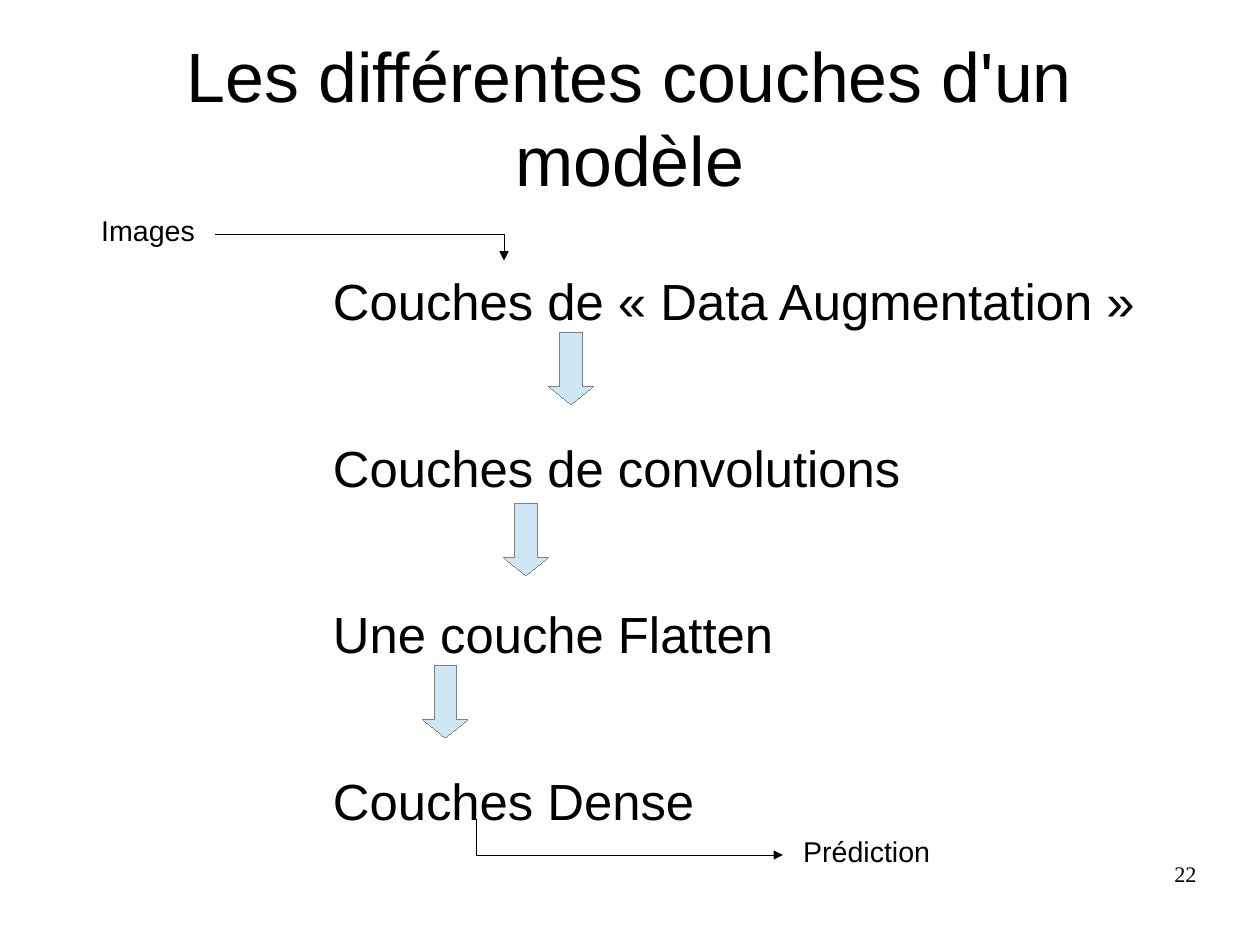
from dataclasses import dataclass

from lxml import etree
from pptx import Presentation
from pptx.dml.color import RGBColor
from pptx.enum import shapes, text
from pptx.oxml import ns
from pptx.util import Pt


@dataclass
class Label:
    words: str
    left: float
    top: float
    width: float
    height: float


@dataclass
class Line:
    x1: float
    y1: float
    x2: float
    y2: float
    head: bool = False


HAIR = 0.01
LAYERS = [
    "Couches de « Data Augmentation »",
    "Couches de convolutions",
    "Une couche Flatten",
    "Couches Dense",
]
LABELS = [
    Label("Images", 56.7, 130.4, 102, 27.3),
    Label("Prédiction", 498.8, 521.5, 124.7, 27.3),
]
ARROWS = [(345.6, 209.4), (317.2, 317.2), (266.4, 419.4)]
LINES = [
    Line(136, 147.6, 317.5, 147.6),
    Line(300.2, 516.2, 300.2, 538.6),
    Line(300.2, 538.6, 493.2, 538.6, True),
    Line(317.5, 147.6, 317.5, 164.2, True),
]


def color(code: str) -> RGBColor:
    return RGBColor.from_string(code)


def style(para, size: float, name: str = "Arial", align=text.PP_ALIGN.LEFT) -> None:
    para.alignment = align
    para.font.size = Pt(size)
    para.font.name = name
    para.font.color.rgb = color("000000")


def place(shape, left: float, top: float, width: float, height: float) -> None:
    shape.left, shape.top = Pt(left), Pt(top)
    shape.width, shape.height = Pt(width), Pt(height)


def setup(frame, side: float = 0, edge: float = 0) -> None:
    frame.word_wrap = True
    frame.auto_size = text.MSO_AUTO_SIZE.NONE
    frame.vertical_anchor = text.MSO_ANCHOR.TOP
    frame.margin_left = frame.margin_right = Pt(side)
    frame.margin_top = frame.margin_bottom = Pt(edge)


def add_box(slide, label: Label, side: float = 0, edge: float = 0):
    box = slide.shapes.add_textbox(
        Pt(label.left), Pt(label.top), Pt(label.width), Pt(label.height))
    setup(box.text_frame, side, edge)
    box.text_frame.text = label.words
    return box.text_frame


def add_title(slide, words: str) -> None:
    title = slide.shapes.title
    place(title, 39.6, 23.8, 714.3, 99.4)
    setup(title.text_frame)
    title.text_frame.vertical_anchor = text.MSO_ANCHOR.MIDDLE
    title.text_frame.text = words
    para = title.text_frame.paragraphs[0]
    para.line_spacing = Pt(52.8)
    style(para, 44, align=text.PP_ALIGN.CENTER)


def add_list(slide) -> None:
    frame = add_box(slide, Label("\n".join(LAYERS), 175.7, 169.9, 714.3, 393.1))
    frame.margin_left = Pt(34)
    for para in frame.paragraphs:
        para.line_spacing = Pt(38.4)
        para.space_after = Pt(66.6)
        style(para, 32)


def add_arrow(slide, left: float, top: float) -> None:
    arrow = slide.shapes.add_shape(
        shapes.MSO_SHAPE.DOWN_ARROW, Pt(left), Pt(top), Pt(28.3), Pt(45.4))
    arrow.adjustments[0] = 0.5
    arrow.adjustments[1] = 0.4
    arrow.shadow.inherit = False
    arrow.fill.solid()
    arrow.fill.fore_color.rgb = color("CFE7F5")
    arrow.line.color.rgb = color("808080")
    arrow.line.width = Pt(HAIR)


def add_line(slide, line: Line) -> None:
    link = slide.shapes.add_connector(
        shapes.MSO_CONNECTOR.STRAIGHT,
        Pt(line.x1), Pt(line.y1), Pt(line.x2), Pt(line.y2))
    link.line.color.rgb = color("000000")
    link.line.width = Pt(HAIR)
    if line.head:
        tail = etree.SubElement(link.line._get_or_add_ln(), ns.qn("a:tailEnd"))
        tail.set("type", "triangle")
    etree.SubElement(link._element.spPr, ns.qn("a:effectLst"))


def main() -> None:
    deck = Presentation()
    deck.slide_width, deck.slide_height = Pt(793.7), Pt(595.28)
    slide = deck.slides.add_slide(deck.slide_layouts[5])
    add_title(slide, "Les différentes couches d'un modèle")
    add_list(slide)
    for left, top in ARROWS:
        add_arrow(slide, left, top)
    for label in LABELS:
        style(add_box(slide, label, 7.2, 3.6).paragraphs[0], 18)
    for line in LINES:
        add_line(slide, line)
    page = add_box(slide, Label("22", 568.8, 542.2, 185, 41))
    style(page.paragraphs[0], 14, "Times New Roman", text.PP_ALIGN.RIGHT)
    deck.save("out.pptx")


if __name__ == "__main__":
    main()
